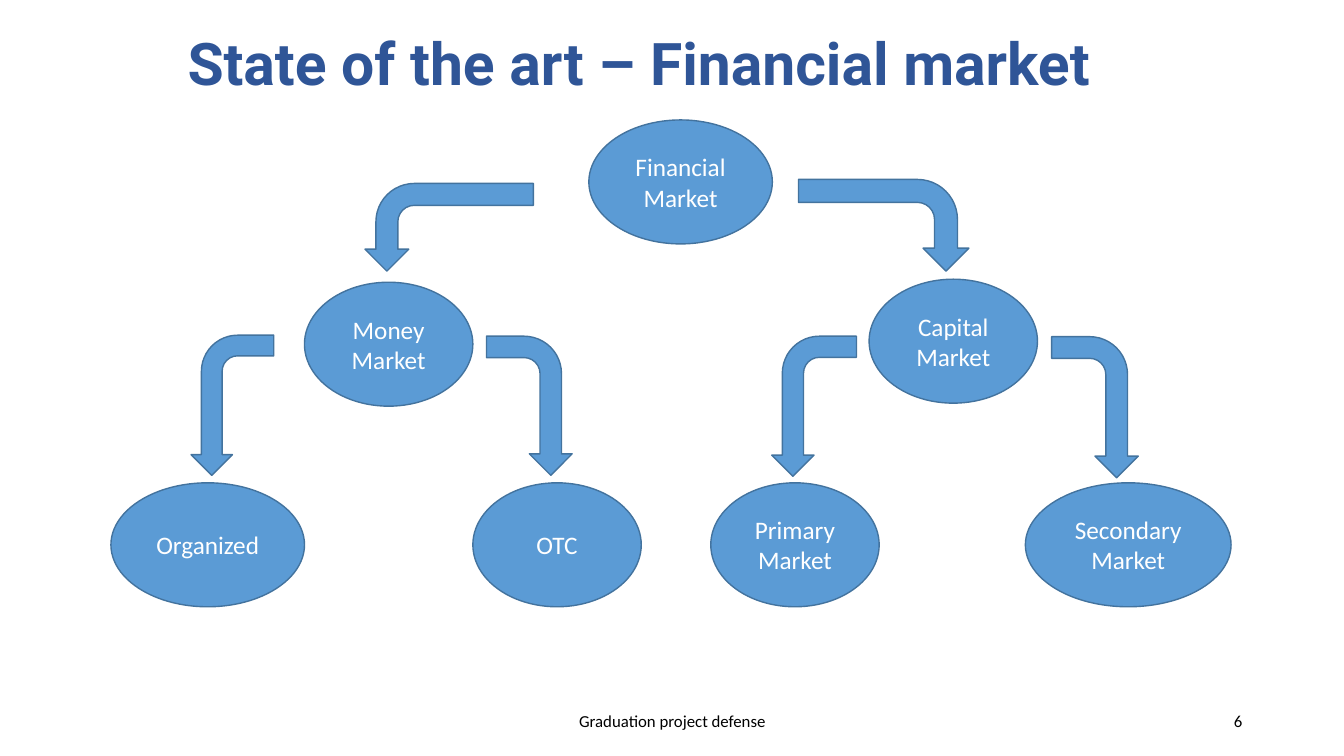
from dataclasses import dataclass

from pptx import Presentation
from pptx.dml.color import RGBColor
from pptx.enum.shapes import MSO_SHAPE
from pptx.enum.text import MSO_ANCHOR, MSO_AUTO_SIZE, PP_ALIGN
from pptx.util import Inches, Pt

ELLIPSE, BENT_ARROW = MSO_SHAPE.OVAL, MSO_SHAPE.BENT_ARROW
TOP, MIDDLE = MSO_ANCHOR.TOP, MSO_ANCHOR.MIDDLE
LEFT, CENTER, RIGHT = PP_ALIGN.LEFT, PP_ALIGN.CENTER, PP_ALIGN.RIGHT
NO_AUTOFIT = MSO_AUTO_SIZE.NONE


@dataclass(frozen=True)
class Theme:
    heading_font: str = "Roboto"
    body_font: str = "Calibri"
    heading: RGBColor = RGBColor.from_string("2F5597")
    fill: RGBColor = RGBColor.from_string("5B9BD5")
    outline: RGBColor = RGBColor.from_string("43739E")
    node_text: RGBColor = RGBColor.from_string("FFFFFF")
    footer_text: RGBColor = RGBColor.from_string("000000")
    heading_size: int = 42
    node_size: int = 18
    footer_size: int = 12
    line_width: int = 1


THEME = Theme()
HEADING = "State of the art – Financial market"
HEADING_BOX = (1.76, 0.21, 13.54, 0.81)
NODE_HEIGHT = 1.23
LEAF_TOP = 4.79

MARKETS = [
    ("Financial Market", 5.84, 1.19, 1.82),
    ("Money\nMarket", 3.02, 2.8, 1.67),
    ("Capital Market", 8.62, 2.77, 1.67),
    ("Primary Market", 7.05, LEAF_TOP, 1.67),
    ("Secondary Market", 10.17, LEAF_TOP, 2.04),
    ("OTC", 4.69, LEAF_TOP, 1.67),
    ("Organized", 1.1, LEAF_TOP, 1.92),
]
BRANCHES = [
    ("left", 4.02, 1.42, 0.87, 1.67),
    ("right", 8.31, 1.39, 0.91, 1.69),
    ("left", 1.61, 3.61, 1.39, 0.82),
    ("right", 4.56, 3.6, 1.38, 0.85),
    ("left", 7.38, 3.61, 1.39, 0.84),
    ("right", 10.16, 3.61, 1.4, 0.86),
]
FOOTERS = [
    ("Graduation project defense", 4.42, 4.5, CENTER),
    ("6", 9.42, 3, RIGHT),
]
FOOTER_TOP, FOOTER_HEIGHT = 6.95, 0.4


def write(shape, text, font, size, color, align, anchor, bold=False):
    frame = shape.text_frame
    frame.text = text
    frame.word_wrap = True
    frame.auto_size = NO_AUTOFIT
    frame.vertical_anchor = anchor
    for paragraph in frame.paragraphs:
        paragraph.alignment = align
        for run in paragraph.runs:
            run.font.name = font
            run.font.size = Pt(size)
            run.font.bold = bold
            run.font.color.rgb = color


def add_blue_shape(slide, preset, box):
    shape = slide.shapes.add_shape(preset, *map(Inches, box))
    shape.shadow.inherit = False
    shape.fill.solid()
    shape.fill.fore_color.rgb = THEME.fill
    shape.line.color.rgb = THEME.outline
    shape.line.width = Pt(THEME.line_width)
    return shape


def add_heading(slide):
    title = slide.shapes.title
    title.left, title.top, title.width, title.height = map(Inches, HEADING_BOX)
    write(title, HEADING, THEME.heading_font, THEME.heading_size,
          THEME.heading, LEFT, TOP, bold=True)


def add_market(slide, name, left, top, width):
    market = add_blue_shape(slide, ELLIPSE, (left, top, width, NODE_HEIGHT))
    write(market, name, THEME.body_font, THEME.node_size,
          THEME.node_text, CENTER, MIDDLE)


def add_branch(slide, side, *box):
    branch = add_blue_shape(slide, BENT_ARROW, box)
    branch.rotation = 90
    if side == "left":
        branch.rotation = 270
        branch._element.spPr.xfrm.set("flipH", "1")


def add_footer(slide, text, left, width, align):
    box = (left, FOOTER_TOP, width, FOOTER_HEIGHT)
    footer = slide.shapes.add_textbox(*map(Inches, box))
    write(footer, text, THEME.body_font, THEME.footer_size,
          THEME.footer_text, align, MIDDLE)


def main():
    deck = Presentation()
    deck.slide_width, deck.slide_height = Inches(13.33), Inches(7.5)
    slide = deck.slides.add_slide(deck.slide_layouts.get_by_name("Title Only"))
    add_heading(slide)
    for market in MARKETS:
        add_market(slide, *market)
    for branch in BRANCHES:
        add_branch(slide, *branch)
    for footer in FOOTERS:
        add_footer(slide, *footer)
    deck.save("out.pptx")


if __name__ == "__main__":
    main()
